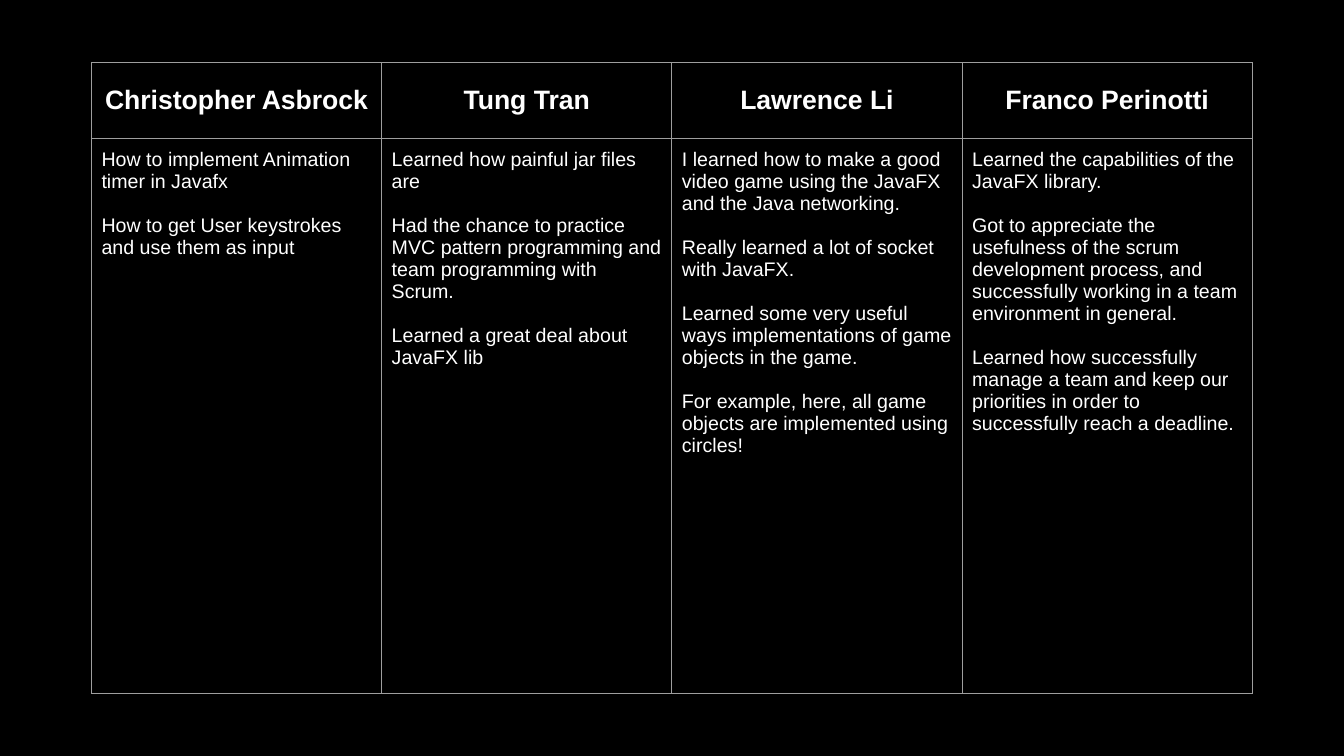
from lxml import etree
from pptx import Presentation
from pptx.dml.color import RGBColor
from pptx.enum.text import MSO_ANCHOR, PP_ALIGN
from pptx.oxml.ns import qn
from pptx.util import Pt

BLACK = RGBColor(0x00, 0x00, 0x00)
WHITE = RGBColor(0xFF, 0xFF, 0xFF)
GRAY = RGBColor(0x9E, 0x9E, 0x9E)
TOP, MIDDLE = MSO_ANCHOR.TOP, MSO_ANCHOR.MIDDLE
LEFT, CENTER = PP_ALIGN.LEFT, PP_ALIGN.CENTER
FONT = "Arial"
INSET = 7.2
HEAD = 54

LESSONS = {
    "Christopher Asbrock": [
        "How to implement Animation timer in Javafx",
        "How to get User keystrokes and use them as input",
    ],
    "Tung Tran": [
        "Learned how painful jar files are",
        "Had the chance to practice MVC pattern programming and team programming with Scrum.",
        "Learned a great deal about JavaFX lib",
    ],
    "Lawrence Li": [
        "I learned how to make a good video game using the JavaFX and the Java networking.",
        "Really learned a lot of socket with JavaFX.",
        "Learned some very useful ways implementations of game objects in the game.",
        "For example, here, all game objects are implemented using circles!",
    ],
    "Franco Perinotti": [
        "Learned the capabilities of the JavaFX library.",
        "Got to appreciate the usefulness of the scrum development process, and successfully working in a team environment in general.",
        "Learned how successfully manage a team and keep our priorities in order to successfully reach a deadline.",
    ],
}


def frame(cell):
    props = cell._tc.get_or_add_tcPr()
    for side in ("a:lnL", "a:lnR", "a:lnT", "a:lnB"):
        line = etree.SubElement(props, qn(side), w=str(Pt(0.75)))
        fill = etree.SubElement(line, qn("a:solidFill"))
        etree.SubElement(fill, qn("a:srgbClr"), val=str(GRAY))
    cell.fill.background()


def write(cell, texts, size, bold, align, anchor):
    frame(cell)
    cell.vertical_anchor = anchor
    cell.margin_left = cell.margin_right = Pt(INSET)
    cell.margin_top = cell.margin_bottom = Pt(INSET)
    for i, text in enumerate(texts):
        para = cell.text_frame.add_paragraph() if i else cell.text_frame.paragraphs[0]
        para.alignment = align
        para.space_before = Pt(15.8 if i else 0)
        run = para.add_run()
        run.text = text
        run.font.name = FONT
        run.font.size = Pt(size)
        run.font.bold = bold
        run.font.color.rgb = WHITE


def add_lessons(slide, left, top, width, height):
    table = slide.shapes.add_table(
        2, len(LESSONS), Pt(left), Pt(top), Pt(width), Pt(height)
    ).table
    table.first_row = False
    table.horz_banding = False
    table.rows[0].height = Pt(HEAD)
    table.rows[1].height = Pt(height - HEAD)
    for col, (name, notes) in enumerate(LESSONS.items()):
        table.columns[col].width = Pt(width / len(LESSONS))
        write(table.cell(0, col), [name], 19, True, CENTER, MIDDLE)
        write(table.cell(1, col), notes, 14, False, LEFT, TOP)


def main():
    deck = Presentation()
    deck.slide_width, deck.slide_height = Pt(960), Pt(540)
    slide = deck.slides.add_slide(deck.slide_layouts[6])
    slide.background.fill.solid()
    slide.background.fill.fore_color.rgb = BLACK
    add_lessons(slide, 65.3, 44.7, 829.2, 450.6)
    deck.save("out.pptx")


if __name__ == "__main__":
    main()
